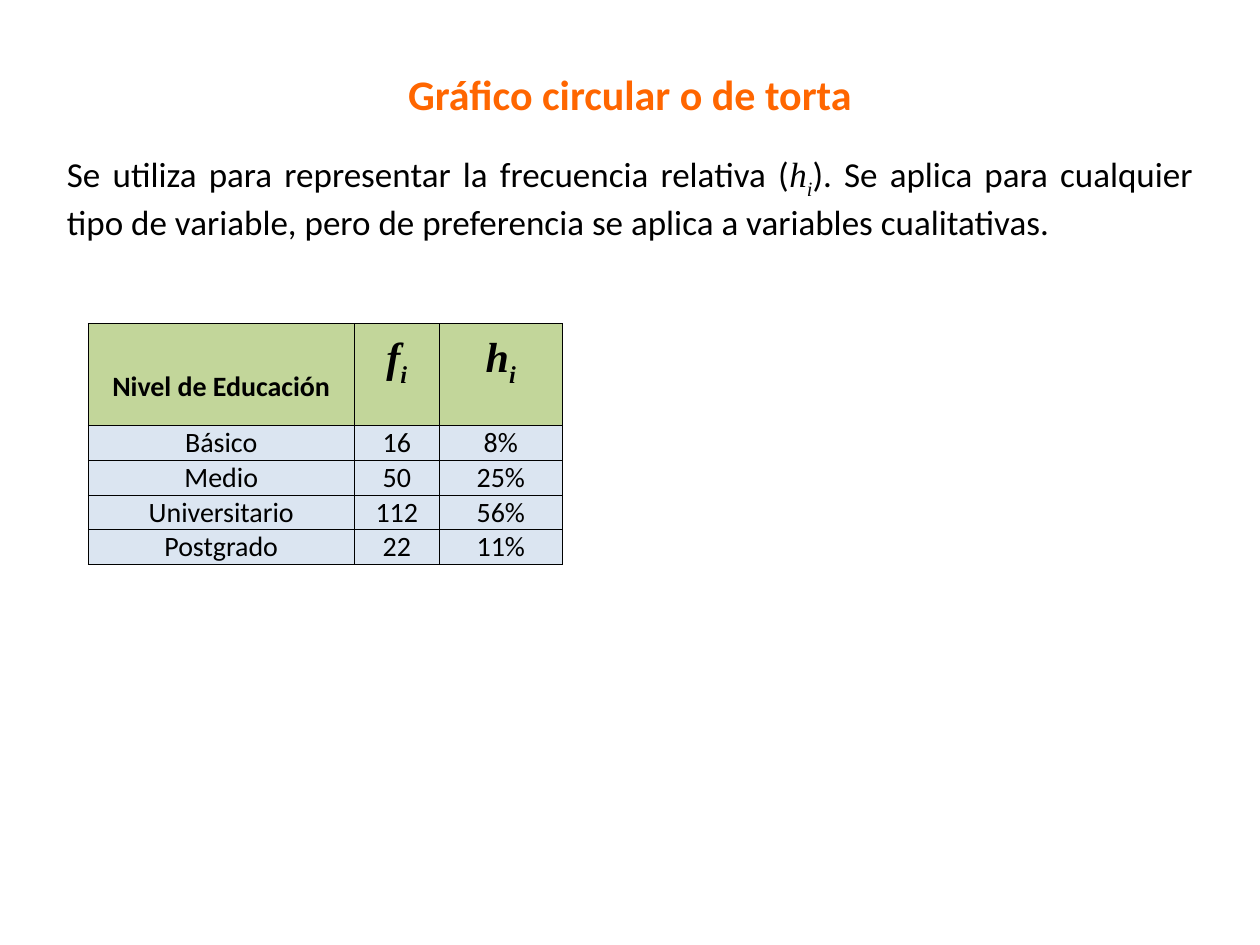
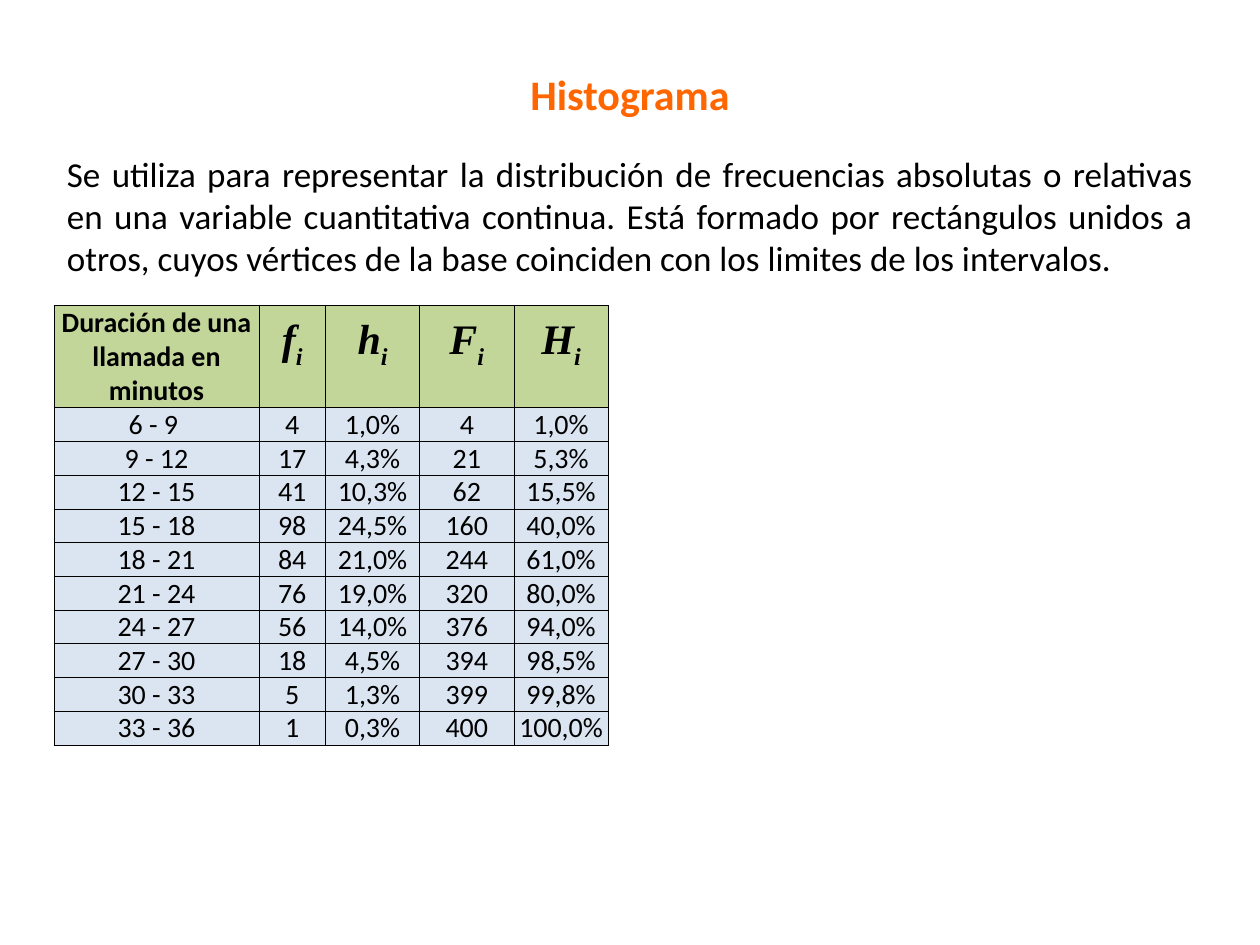
from dataclasses import dataclass

from lxml.etree import SubElement
from pptx import Presentation
from pptx.dml.color import RGBColor
from pptx.enum.text import MSO_ANCHOR, MSO_AUTO_SIZE, PP_ALIGN
from pptx.oxml.ns import qn
from pptx.util import Cm, Pt


@dataclass(frozen=True)
class Theme:
    accent: str = "FF6600"
    ink: str = "000000"
    header_fill: str = "C2D69A"
    row_fill: str = "DBE5F1"
    text_font: str = "Calibri"
    symbol_font: str = "Times New Roman"
    title_size: int = 24
    body_size: int = 20
    cell_size: int = 16
    symbol_size: int = 24
    border_width: float = 0.5


THEME = Theme()
TITLE_ONLY = 5
HEADER_HEIGHT = 2.06
SYMBOL_BOTTOM = 0.75

LEVELS = [
    ("Básico", "16", "8%"),
    ("Medio", "50", "25%"),
    ("Universitario", "112", "56%"),
    ("Postgrado", "22", "11%"),
]

CALLS = [
    ("6 - 9 ", "4", "1,0%", "4", "1,0%"),
    ("9 - 12", "17", "4,3%", "21", "5,3%"),
    ("12 - 15", "41", "10,3%", "62", "15,5%"),
    ("15 - 18", "98", "24,5%", "160", "40,0%"),
    ("18 - 21", "84", "21,0%", "244", "61,0%"),
    ("21 - 24", "76", "19,0%", "320", "80,0%"),
    ("24 - 27", "56", "14,0%", "376", "94,0%"),
    ("27 - 30", "18", "4,5%", "394", "98,5%"),
    ("30 - 33", "5", "1,3%", "399", "99,8%"),
    ("33 - 36", "1", "0,3%", "400", "100,0%"),
]


def add_run(para, text, size, color=THEME.ink, font=THEME.text_font, bold=False, italic=False):
    span = para.add_run()
    span.text = text
    span.font.size = Pt(size)
    span.font.name = font
    span.font.bold = bold
    span.font.italic = italic
    span.font.color.rgb = RGBColor.from_string(color)
    return span


def add_symbol(para, letter, size, bold=False):
    add_run(para, letter, size, font=THEME.symbol_font, bold=bold, italic=True)
    index = add_run(para, "i", size, font=THEME.symbol_font, bold=bold, italic=True)
    index._r.get_or_add_rPr().set("baseline", "-25000")


def add_titled_page(deck, title):
    page = deck.slides.add_slide(deck.slide_layouts[TITLE_ONLY])
    box = page.shapes.title
    box.left, box.top, box.width, box.height = Cm(2), Cm(1.25), Cm(21.4), Cm(2.3)
    frame = box.text_frame
    frame.auto_size = MSO_AUTO_SIZE.NONE
    frame.vertical_anchor = MSO_ANCHOR.TOP
    para = frame.paragraphs[0]
    para.alignment = PP_ALIGN.CENTER
    add_run(para, title, THEME.title_size, THEME.accent, bold=True)
    return page


def add_description(page, height):
    box = page.shapes.add_textbox(Cm(1.1), Cm(2.95), Cm(23.2), Cm(height))
    box.text_frame.word_wrap = True
    para = box.text_frame.paragraphs[0]
    para.alignment = PP_ALIGN.JUSTIFY
    return para


def add_borders(cell):
    properties = cell._tc.get_or_add_tcPr()
    for side in ("lnL", "lnR", "lnT", "lnB"):
        line = SubElement(properties, qn(f"a:{side}"), w=str(Pt(THEME.border_width)))
        fill = SubElement(line, qn("a:solidFill"))
        SubElement(fill, qn("a:srgbClr"), val=THEME.ink)


def format_cell(cell, fill, bottom=0):
    add_borders(cell)
    cell.fill.solid()
    cell.fill.fore_color.rgb = RGBColor.from_string(fill)
    cell.margin_left = cell.margin_right = cell.margin_top = Cm(0)
    cell.margin_bottom = Cm(bottom)
    cell.vertical_anchor = MSO_ANCHOR.BOTTOM
    para = cell.text_frame.paragraphs[0]
    para.alignment = PP_ALIGN.CENTER
    return para


def add_frequency_table(page, left, top, widths, row_height, heading, symbols, rows, heading_bottom=0):
    height = HEADER_HEIGHT + row_height * len(rows)
    frame = page.shapes.add_table(
        len(rows) + 1, len(widths), Cm(left), Cm(top), Cm(sum(widths)), Cm(height)
    )
    table = frame.table
    table.first_row = table.horz_banding = False
    for column, width in zip(table.columns, widths):
        column.width = Cm(width)
    for number, row in enumerate(table.rows):
        row.height = Cm(row_height if number else HEADER_HEIGHT)

    para = format_cell(table.cell(0, 0), THEME.header_fill, heading_bottom)
    add_run(para, heading, THEME.cell_size, bold=True)
    for column, letter in enumerate(symbols, 1):
        para = format_cell(table.cell(0, column), THEME.header_fill, SYMBOL_BOTTOM)
        add_symbol(para, letter, THEME.symbol_size, bold=True)
    for number, values in enumerate(rows, 1):
        for column, value in enumerate(values):
            para = format_cell(table.cell(number, column), THEME.row_fill)
            add_run(para, value, THEME.cell_size)


def add_pie_page(deck):
    page = add_titled_page(deck, "Gráfico circular o de torta")
    para = add_description(page, 1.96)
    add_run(para, "Se utiliza para representar la frecuencia relativa (", THEME.body_size)
    add_symbol(para, "h", THEME.body_size)
    add_run(
        para,
        "). Se aplica para cualquier tipo de variable, "
        "pero de preferencia se aplica a variables cualitativas.",
        THEME.body_size,
    )
    add_frequency_table(
        page, 1.78, 6.52, (5.36, 1.72, 2.47), 0.7, "Nivel de Educación", "fh", LEVELS, 0.44
    )


def add_histogram_page(deck):
    page = add_titled_page(deck, "Histograma")
    para = add_description(page, 4.52)
    add_run(
        para,
        "Se utiliza para representar la distribución de frecuencias absolutas o relativas "
        "en una variable cuantitativa continua. Está formado por rectángulos unidos a otros, "
        "cuyos vértices de la base coinciden con los limites de los intervalos.",
        THEME.body_size,
    )
    add_frequency_table(
        page, 1.09, 6.16, (4.13, 1.34, 1.9, 1.9, 1.9), 0.68,
        "Duración de una llamada en minutos", "fhFH", CALLS,
    )


def main():
    deck = Presentation()
    deck.slide_width, deck.slide_height = Cm(25.4), Cm(19.05)
    add_pie_page(deck)
    add_histogram_page(deck)
    deck.save("out.pptx")


if __name__ == "__main__":
    main()
